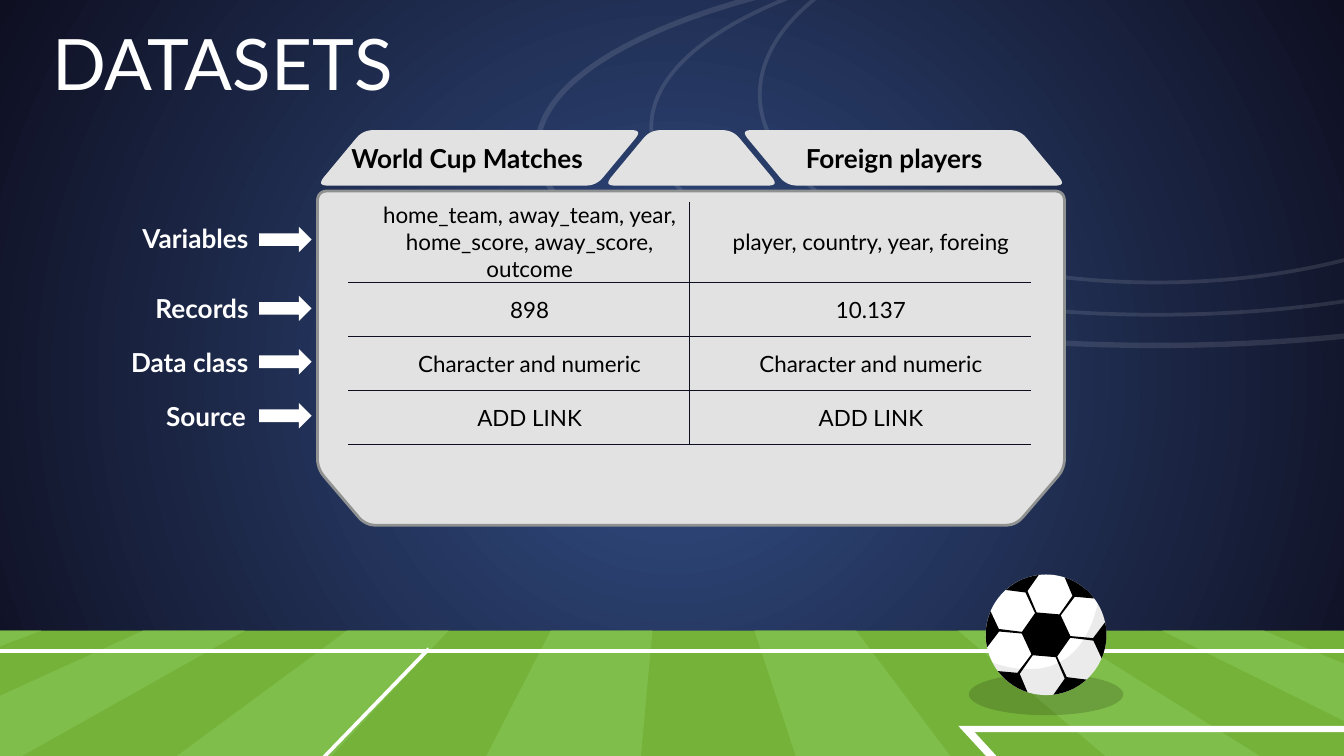
from math import cos, radians, sin

from lxml.etree import SubElement
from pptx import Presentation
from pptx.dml.color import RGBColor
from pptx.enum.shapes import MSO_SHAPE
from pptx.enum.text import MSO_ANCHOR, MSO_AUTO_SIZE, PP_ALIGN
from pptx.oxml.ns import qn
from pptx.util import Cm, Pt

WHITE = RGBColor(0xFF, 0xFF, 0xFF)
BLACK = RGBColor(0, 0, 0)
NAVY = RGBColor(0x0E, 0x0F, 0x21)
BLUE = RGBColor(0x33, 0x4F, 0x86)
GRASS = RGBColor(0x75, 0xB2, 0x3A)
STRIPE = RGBColor(0x80, 0xBE, 0x4B)
PANEL = RGBColor(0xE2, 0xE2, 0xE2)
PANEL_EDGE = RGBColor(0x90, 0x91, 0x91)
FONT = "Lato"

# Content, lengths in cm
WIDTH, HEIGHT = 25.4, 14.29
TITLE = "DATASETS"
HEADINGS = [("World Cup Matches", 6.39, 5.31), ("Foreign players", 14.98, 4.34)]  # left, width
ROWS = [  # label, label right edge, label top, arrow top, cells
    ("Variables", 4.95, 4.08, 4.29,
     ("home_team, away_team, year, home_score, away_score, outcome",
      "player, country, year, foreing")),
    ("Records", 4.95, 5.41, 5.59, ("898", "10.137")),
    ("Data class", 4.95, 6.43, 6.6, ("Character and numeric", "Character and numeric")),
    ("Source", 4.9, 7.44, 7.62, ("ADD LINK", "ADD LINK")),
]
ROW_HEIGHTS = [1.53, 1.02, 1.02, 1.02]
COLUMN_WIDTH = 6.45

# Scenery; the field bleeds past the slide edges
HORIZON, FIELD_END = 11.92, 22.8
FIELD_LEFT, FIELD_WIDTH = -34.24, 91.16
RINGS = [  # left, top, width, height, line points
    (10.16, -0.94, 23.4, 7.47, 2.9),
    (12.31, -1.16, 19.1, 7.11, 2),
    (14.36, -1.77, 14.99, 7.11, 2),
]
FIELD_LINES = [
    [(-0.71, 12.27), (-0.71, 12.34), (25.81, 12.34), (25.81, 12.27)],
    [(8.08, 12.24), (-0.08, 20.68), (-0.05, 20.73), (8.13, 12.29)],
    [(18.11, 13.72), (24.21, 20.35), (24.28, 20.24), (18.42, 13.84),
     (26.9, 13.84), (26.9, 13.72)],
]
BALL_X, BALL_Y, BALL_RADIUS = 19.77, 12, 1.14
BALL_SEAM = [(0.89, 244), (0.46, 243), (0.46, 187), (0.9, 187)]  # radius, degrees

# Panel and tabs
PANEL_OUTLINE = [(6, 3.61), (20.12, 3.61), (20.12, 8.86), (19.2, 9.93),
                 (6.91, 9.93), (6, 8.86)]
TAB_TOP, TAB_BOTTOM = 2.46, 3.51
TABS = [  # top left, top right, bottom right, bottom left
    (6.86, 12.14, 11.27, 5.99),
    (14, 19.28, 20.15, 14.87),
    (12.29, 13.85, 14.72, 11.42),
]

prs = Presentation()
prs.slide_width, prs.slide_height = Cm(WIDTH), Cm(HEIGHT)
slide = prs.slides.add_slide(prs.slide_layouts[6])
shapes = slide.shapes


def set_alpha(fill_parent, percent):
    color = fill_parent.find(".//" + qn("a:srgbClr"))
    SubElement(color, qn("a:alpha"), val=str(percent * 1000))


def paint(shape, color, alpha=None):
    shape.shadow.inherit = False
    shape.fill.solid()
    shape.fill.fore_color.rgb = color
    shape.line.fill.background()
    if alpha:
        set_alpha(shape.fill._xPr, alpha)
    return shape


def add_preset(kind, left, top, width, height, color, alpha=None):
    shape = shapes.add_shape(kind, Cm(left), Cm(top), Cm(width), Cm(height))
    return paint(shape, color, alpha)


def add_outline(points, color, alpha=None):
    emu = [(Cm(x), Cm(y)) for x, y in points]
    builder = shapes.build_freeform(*emu[0])
    builder.add_line_segments(emu[1:], close=True)
    return paint(builder.convert_to_shape(), color, alpha)


def bezier(points, steps=12):
    """Points along a Bezier curve of any degree."""
    curve = []
    for step in range(steps + 1):
        t, level = step / steps, points
        while len(level) > 1:
            level = [(a + (c - a) * t, b + (d - b) * t)
                     for (a, b), (c, d) in zip(level, level[1:])]
        curve.append(level[0])
    return curve


def rounded(corners, cut=0.2):
    outline = []
    for i, (x, y) in enumerate(corners):
        ends = []
        for nx, ny in (corners[i - 1], corners[(i + 1) % len(corners)]):
            share = cut / ((nx - x) ** 2 + (ny - y) ** 2) ** 0.5
            ends.append((x + (nx - x) * share, y + (ny - y) * share))
        outline += bezier([ends[0], (x, y), ends[1]], 6)
    return outline


def on_ball(radius, degrees):
    angle = radians(degrees)
    return BALL_X + radius * cos(angle), BALL_Y + radius * sin(angle)


def style(paragraph, size, color, bold=False, align=PP_ALIGN.LEFT):
    paragraph.alignment = align
    font = paragraph.runs[0].font
    font.name, font.size, font.bold = FONT, Pt(size), bold
    font.color.rgb = color


def add_label(text, left, top, width, color, align=PP_ALIGN.LEFT):
    frame = shapes.add_textbox(Cm(left), Cm(top), Cm(width), Cm(0.86)).text_frame
    frame.text = text
    frame.word_wrap = False
    frame.auto_size = MSO_AUTO_SIZE.SHAPE_TO_FIT_TEXT
    style(frame.paragraphs[0], 14, color, True, align)


def add_border(cell, side, visible):
    line = SubElement(cell._tc.get_or_add_tcPr(), qn("a:" + side), w=str(Pt(0.75)))
    if visible:
        SubElement(SubElement(line, qn("a:solidFill")), qn("a:srgbClr"), val=str(NAVY))
    else:
        SubElement(line, qn("a:noFill"))


# Radial background
background = slide.background.fill
background.gradient()
for stop, color in zip(background.gradient_stops, (BLUE, NAVY)):
    stop.color.rgb = color
gradient = slide.element.find(".//" + qn("a:gradFill"))
gradient.remove(gradient.find(qn("a:lin")))
circle = SubElement(gradient, qn("a:path"), path="circle")
SubElement(circle, qn("a:fillToRect"), l="50000", t="50000", r="50000", b="50000")

# Football field
add_preset(MSO_SHAPE.RECTANGLE, FIELD_LEFT, HORIZON, FIELD_WIDTH,
           FIELD_END - HORIZON, GRASS)
for i in range(7):
    far, near = -1.14 + 3.85 * i, FIELD_LEFT + 13.02 * i
    add_outline([(far, HORIZON), (far + 1.92, HORIZON),
                 (near + 6.51, FIELD_END), (near, FIELD_END)], STRIPE)
for field_line in FIELD_LINES:
    add_outline(field_line, WHITE)

# Faint rings in the sky
for left, top, width, height, weight in RINGS:
    ring = add_preset(MSO_SHAPE.OVAL, left, top, width, height, WHITE)
    ring.fill.background()
    ring.line.color.rgb = WHITE
    ring.line.width = Pt(weight)
    set_alpha(ring.line._ln, 11)

# Ball with its ground shadow, shading and seams
add_preset(MSO_SHAPE.OVAL, 18.31, 12.73, 2.92, 0.79, BLACK, 16)
add_preset(MSO_SHAPE.OVAL, BALL_X - BALL_RADIUS, BALL_Y - BALL_RADIUS,
           2 * BALL_RADIUS, 2 * BALL_RADIUS, WHITE)
shade = bezier([(20.75, 11.4), (20.65, 11.81), (20.4, 12.65), (19.46, 12.65)])
shade += bezier([(19.46, 12.65), (19.25, 12.65), (19.02, 12.62), (18.75, 12.52)])
shade += [on_ball(BALL_RADIUS, degrees) for degrees in range(153, -32, -5)]
add_outline(shade, BLACK, 8)
seams = []
for turn in range(0, 360, 60):
    rim = [(BALL_RADIUS, degrees) for degrees in range(263, 227, -5)]
    seams += [on_ball(radius, degrees - turn) for radius, degrees in rim + BALL_SEAM]
add_outline(seams, BLACK)

# Title
title = shapes.add_textbox(Cm(0.74), Cm(0.51), Cm(24.66), Cm(1.32)).text_frame
title.text = TITLE
title.word_wrap = True
title.vertical_anchor = MSO_ANCHOR.MIDDLE
title.margin_left = title.margin_right = title.margin_top = title.margin_bottom = Cm(0.25)
style(title.paragraphs[0], 38, WHITE)

# Panel and tabs
panel = add_outline(rounded(PANEL_OUTLINE), PANEL)
panel.line.color.rgb = PANEL_EDGE
panel.line.width = Pt(1.5)
for top_left, top_right, bottom_right, bottom_left in TABS:
    add_outline(rounded([(top_left, TAB_TOP), (top_right, TAB_TOP),
                         (bottom_right, TAB_BOTTOM), (bottom_left, TAB_BOTTOM)]), PANEL)

# Table: rules inside and below, none on the other outer sides
datasets = shapes.add_table(len(ROWS), 2, Cm(6.58), Cm(3.81),
                            Cm(2 * COLUMN_WIDTH), Cm(sum(ROW_HEIGHTS))).table
datasets.first_row = datasets.horz_banding = False
for column in datasets.columns:
    column.width = Cm(COLUMN_WIDTH)
for r, (*_, texts) in enumerate(ROWS):
    datasets.rows[r].height = Cm(ROW_HEIGHTS[r])
    for c, text in enumerate(texts):
        cell = datasets.cell(r, c)
        cell.text = text
        cell.vertical_anchor = MSO_ANCHOR.MIDDLE
        cell.margin_left = Cm(0.41)
        cell.margin_right = cell.margin_top = cell.margin_bottom = 0
        style(cell.text_frame.paragraphs[0], 12, BLACK, align=PP_ALIGN.CENTER)
        for side, visible in (("lnL", c > 0), ("lnR", c == 0), ("lnT", r > 0), ("lnB", True)):
            add_border(cell, side, visible)
        cell.fill.background()

# Headings, row labels and arrows
for text, left, width in HEADINGS:
    add_label(text, left, 2.57, width, BLACK)
for text, right, top, arrow_top, _ in ROWS:
    add_label(text, right - 3, top, 3, WHITE, PP_ALIGN.RIGHT)
    add_preset(MSO_SHAPE.RIGHT_ARROW, 4.9, arrow_top, 0.99, 0.48, WHITE)

prs.save("out.pptx")
